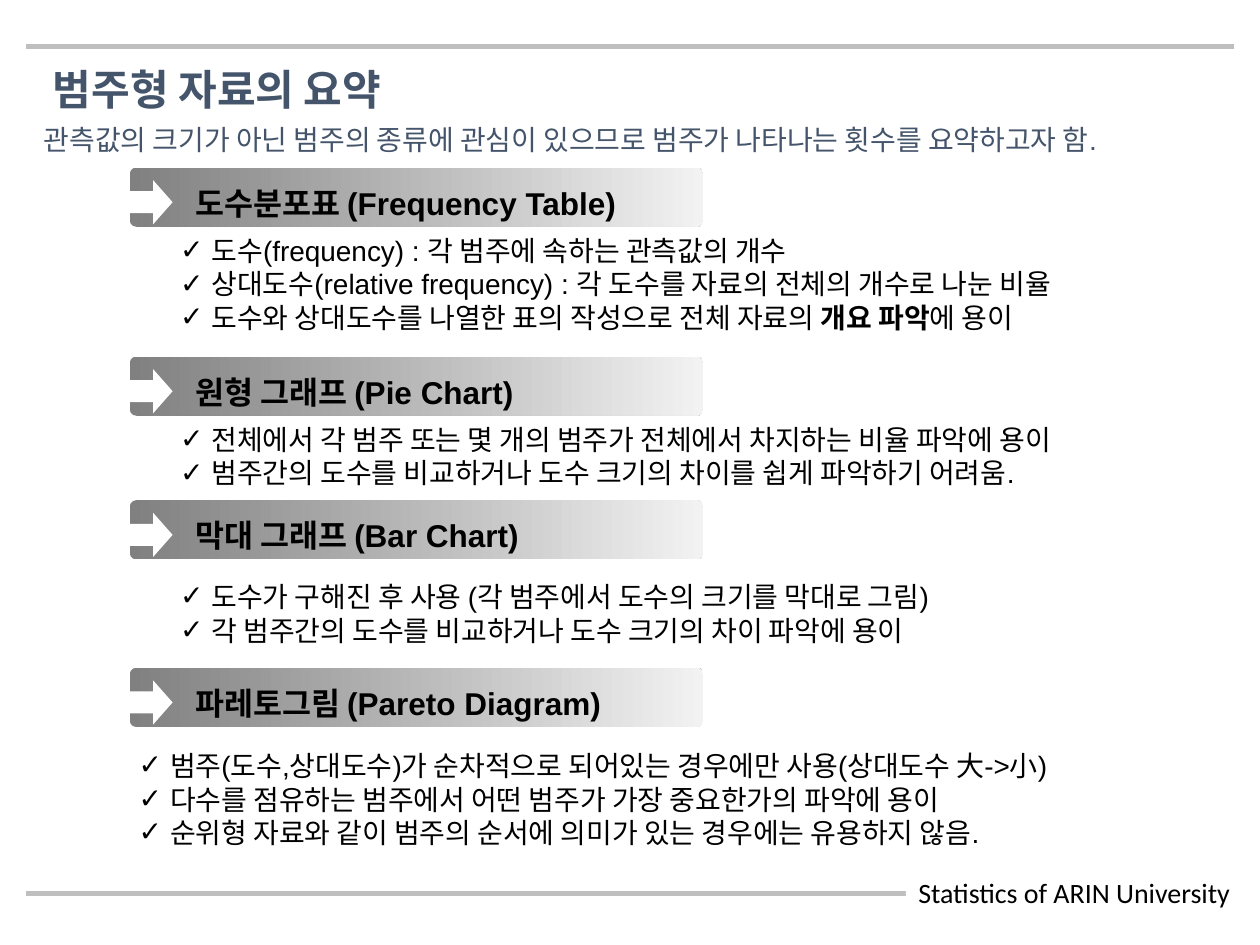
from dataclasses import dataclass
from lxml import etree
from pptx import Presentation
from pptx import util as u
from pptx.dml import color
from pptx.enum import shapes, text
from pptx.oxml import ns


@dataclass
class Theme:
    ink: str = "000000"
    slate: str = "44546A"
    rule: str = "BFBFBF"
    paper: str = "FFFFFF"
    dark: str = "808080"
    pale: str = "F2F2F2"
    sans: str = "Arial"
    foot: str = "Calibri"
    big: int = 24
    mid: int = 18
    small: int = 16


def rgb(code):
    return color.RGBColor.from_string(code)


class Page:
    def __init__(self, slide, theme):
        self.slide, self.theme = slide, theme
        self.slots = list(slide.placeholders)

    def place(self, item, box):
        item.left, item.top, item.width, item.height = map(u.Inches, box)

    def fill_text(self, item, lines, size, tint, face, bold=False):
        frame = item.text_frame
        frame.word_wrap = True
        frame.auto_size = text.MSO_AUTO_SIZE.NONE
        frame.vertical_anchor = text.MSO_ANCHOR.TOP
        for n, line in enumerate(lines):
            para = frame.add_paragraph() if n else frame.paragraphs[0]
            para.alignment = text.PP_ALIGN.LEFT
            para.space_before = u.Pt(0)
            font = para.font
            font.size, font.name, font.bold = u.Pt(size), face, bold
            font.color.rgb = rgb(tint)
            for k, part in enumerate(line.split("*")):
                run = para.add_run()
                run.text = part
                if k % 2:
                    run.font.bold = True
        return frame

    def title(self, words, box):
        t = self.theme
        slot = self.slots.pop(0)
        self.place(slot, box)
        self.fill_text(slot, [words], t.big, t.slate, t.foot, True)

    def list(self, lines, box):
        t = self.theme
        slot = self.slots.pop(0)
        self.place(slot, box)
        frame = self.fill_text(slot, lines, t.small, t.ink, t.sans)
        for para in frame.paragraphs:
            props = para._p.get_or_add_pPr()
            props.set("marL", str(u.Inches(0.25)))
            props.set("indent", str(u.Inches(-0.25)))
            mark = etree.Element(ns.qn("a:buChar"), char="✓")
            props.find(ns.qn("a:defRPr")).addprevious(mark)

    def label(self, words, box, size, tint, face, bold=False):
        item = self.slide.shapes.add_textbox(*map(u.Inches, box))
        self.fill_text(item, [words], size, tint, face, bold)
        return item

    def shape(self, kind, box, fill=None):
        item = self.slide.shapes.add_shape(kind, *map(u.Inches, box))
        item.shadow.inherit = False
        item.line.fill.background()
        if fill:
            item.fill.solid()
            item.fill.fore_color.rgb = rgb(fill)
        return item

    def rule(self, y):
        line = self.slide.shapes.add_connector(
            shapes.MSO_CONNECTOR.STRAIGHT,
            *map(u.Inches, (0.21, y, 9.79, y)))
        line.line.width = u.Pt(3)
        line.line.color.rgb = rgb(self.theme.rule)
        etree.SubElement(line._element.spPr, ns.qn("a:effectLst"))

    def banner(self, words, top):
        t = self.theme
        kind = shapes.MSO_SHAPE
        band = self.shape(kind.ROUNDED_RECTANGLE, (1.03, top, 4.55, 0.47))
        band.adjustments[0] = 0.11
        band.fill.gradient()
        band.fill.gradient_angle = 0
        for stop, tint in zip(band.fill.gradient_stops, (t.dark, t.pale)):
            stop.color.rgb = rgb(tint)
        arrow = self.shape(kind.RIGHT_ARROW, (1, top + 0.1, 0.37, 0.35), t.paper)
        arrow.adjustments[1] = 0.44
        self.label(words, (1.45, top + 0.08, 3.88, 0.4),
                   t.mid, t.ink, t.sans, True)

    def footer(self, words):
        t = self.theme
        box = (7.19, 6.9, 2.73, 0.37)
        plate = self.shape(shapes.MSO_SHAPE.RECTANGLE, box, t.paper)
        self.fill_text(plate, [words], t.small, t.ink, t.foot)

    def clean(self):
        for slot in self.slots:
            slot._element.getparent().remove(slot._element)


parts = [
    ("도수분포표 (Frequency Table)", 1.33, (1.33, 1.8, 8, 0.91), [
        "도수(frequency) : 각 범주에 속하는 관측값의 개수",
        "상대도수(relative frequency) : 각 도수를 자료의 전체의 개수로 나눈 비율",
        "도수와 상대도수를 나열한 표의 작성으로 전체 자료의 *개요 파악*에 용이"]),
    ("원형 그래프 (Pie Chart)", 2.83, (1.33, 3.3, 8.17, 0.64), [
        "전체에서 각 범주 또는 몇 개의 범주가 전체에서 차지하는 비율 파악에 용이",
        "범주간의 도수를 비교하거나 도수 크기의 차이를 쉽게 파악하기 어려움."]),
    ("막대 그래프 (Bar Chart)", 3.97, (1.33, 4.55, 7.75, 0.64), [
        "도수가 구해진 후 사용 (각 범주에서 도수의 크기를 막대로 그림)",
        "각 범주간의 도수를 비교하거나 도수 크기의 차이 파악에 용이"]),
    ("파레토그림 (Pareto Diagram)", 5.3, (1, 5.89, 8.5, 0.91), [
        "범주(도수,상대도수)가 순차적으로 되어있는 경우에만 사용(상대도수 大->小)",
        "다수를 점유하는 범주에서 어떤 범주가 가장 중요한가의 파악에 용이",
        "순위형 자료와 같이 범주의 순서에 의미가 있는 경우에는 유용하지 않음."]),
]

deck = Presentation()
deck.slide_width, deck.slide_height = u.Inches(10), u.Inches(7.5)
theme = Theme()
layout = deck.slide_layouts.get_by_name("Comparison")
page = Page(deck.slides.add_slide(layout), theme)
for y in (7.09, 0.37):
    page.rule(y)
page.footer("Statistics of ARIN University")
page.title("범주형 자료의 요약", (0.32, 0.45, 3.05, 0.5))
page.label("관측값의 크기가 아닌 범주의 종류에 관심이 있으므로 범주가 나타나는 횟수를 요약하고자 함.",
           (0.25, 0.92, 9.7, 0.37), theme.small, theme.slate, theme.sans)
for head, top, box, lines in parts:
    page.banner(head, top)
    page.list(lines, box)
page.clean()
deck.save("out.pptx")
